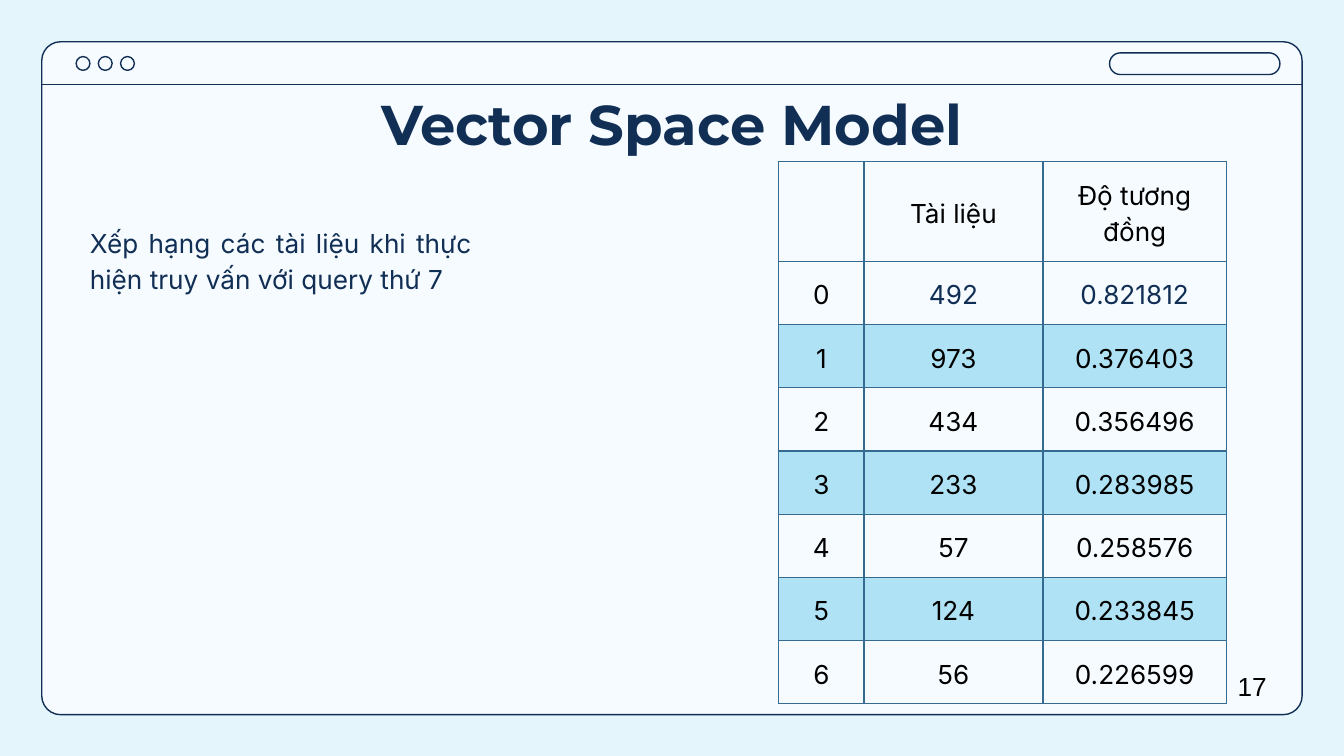
import pptx
import pptx.dml.color
import pptx.enum.shapes
import pptx.enum.text
import pptx.oxml
import pptx.oxml.ns
import pptx.util
from lxml import etree

Cm = pptx.util.Cm
Pt = pptx.util.Pt
ALIGN = pptx.enum.text.PP_ALIGN
ANCHOR = pptx.enum.text.MSO_ANCHOR
SHAPE = pptx.enum.shapes.MSO_SHAPE

NAVY, PAPER, SKY, BLACK, BORDER = "112E54", "F5FBFF", "AEE2F4", "000000", "356B90"

HEADER = ("", "Tài liệu", "Độ tương đồng")
RANKING = [
    (492, "0.821812"), (973, "0.376403"), (434, "0.356496"), (233, "0.283985"),
    (57, "0.258576"), (124, "0.233845"), (56, "0.226599"),
]


def rgb(value):
    return pptx.dml.color.RGBColor.from_string(value)


def child(parent, tag, **attributes):
    return etree.SubElement(parent, pptx.oxml.ns.qn(tag), attributes)


def style_paragraph(para, size, font, color, align, spacing=1.0, bold=False):
    para.alignment = align
    para.line_spacing = spacing
    para.space_before = Pt(0)
    para.font.size = Pt(size)
    para.font.name = font
    para.font.bold = bold
    para.font.color.rgb = rgb(color)


def add_outline(page, kind, box, fill=None, corner=None):
    shape = page.shapes.add_shape(kind, *map(Cm, box))
    shape.shadow.inherit = False
    shape.line.color.rgb = rgb(NAVY)
    shape.line.width = Pt(0.75)
    if fill:
        shape.fill.solid()
        shape.fill.fore_color.rgb = rgb(fill)
    else:
        shape.fill.background()
    if corner is not None:
        shape.adjustments[0] = corner


def add_window(page, box):
    """Browser-like frame: three buttons, an address bar and a rule below them."""
    left, top, width, height = box
    add_outline(page, SHAPE.ROUNDED_RECTANGLE, box, PAPER, 0.028)
    for index in range(3):
        add_outline(page, SHAPE.OVAL, (left + 0.65 + 0.42 * index, top + 0.28, 0.26, 0.26))
    add_outline(page, SHAPE.ROUNDED_RECTANGLE,
                (left + width - 3.64, top + 0.21, 3.22, 0.41), corner=0.5)
    rule = page.shapes.add_connector(
        pptx.enum.shapes.MSO_CONNECTOR.STRAIGHT,
        Cm(left), Cm(top + 0.81), Cm(left + width), Cm(top + 0.81))
    rule.line.color.rgb = rgb(NAVY)
    rule.line.width = Pt(0.75)
    child(rule._element.spPr, "a:effectLst")


def fill_placeholder(page, holder, box, text):
    """Move a placeholder to the box, in front of the window, and return its paragraph."""
    page.shapes._spTree.append(holder._element)
    holder.left, holder.top, holder.width, holder.height = map(Cm, box)
    frame = holder.text_frame
    frame.text = text
    frame.word_wrap = True
    frame.auto_size = pptx.enum.text.MSO_AUTO_SIZE.NONE
    frame.vertical_anchor = ANCHOR.TOP
    frame.margin_left = frame.margin_right = Cm(0.25)
    frame.margin_top = frame.margin_bottom = Cm(0.25)
    return frame.paragraphs[0]


def add_title(page, box):
    para = fill_placeholder(page, page.shapes.title, box, "Vector Space Model")
    style_paragraph(para, 30, "Montserrat", NAVY, ALIGN.CENTER, bold=True)


def add_description(page, box):
    para = fill_placeholder(page, page.placeholders[1], box,
                            "Xếp hạng các tài liệu khi thực hiện truy vấn với query thứ 7")
    style_paragraph(para, 14, "Inter", NAVY, ALIGN.JUSTIFY, 1.15)
    properties = para._p.get_or_add_pPr()
    properties.set("marL", "0")
    properties.set("indent", "0")
    child_bullet = pptx.oxml.parse_xml(
        f'<a:buNone {pptx.oxml.ns.nsdecls("a")}/>')
    properties.find(pptx.oxml.ns.qn("a:defRPr")).addprevious(child_bullet)


def set_borders(cell):
    properties = cell._tc.get_or_add_tcPr()
    for index, side in enumerate(("a:lnL", "a:lnR", "a:lnT", "a:lnB")):
        line = child(properties, side, w=str(Pt(0.75)))
        child(child(line, "a:solidFill"), "a:srgbClr", val=BORDER)
        properties.insert(index, line)


def style_cell(cell, text, color, fill):
    cell.text = text
    cell.vertical_anchor = ANCHOR.MIDDLE
    cell.margin_left = cell.margin_right = Cm(0.25)
    cell.margin_top = cell.margin_bottom = Cm(0.25)
    style_paragraph(cell.text_frame.paragraphs[0], 14, "Inter", color, ALIGN.CENTER, 1.15)
    if fill:
        cell.fill.solid()
        cell.fill.fore_color.rgb = rgb(fill)
    else:
        cell.fill.background()
    set_borders(cell)


def add_ranking_table(page, box):
    left, top, width, height = box
    rows = [HEADER] + [(str(rank), str(document), score)
                       for rank, (document, score) in enumerate(RANKING)]
    table = page.shapes.add_table(len(rows), len(HEADER), *map(Cm, box)).table
    table.first_row = table.horz_banding = False
    for column, share in zip(table.columns, (0.19, 0.4, 0.41)):
        column.width = Cm(width * share)
    header_height = 1.88
    for index, row in enumerate(rows):
        table.rows[index].height = Cm(
            (height - header_height) / len(RANKING) if index else header_height)
        fill = None if index < 2 else (SKY, PAPER)[index % 2]
        for position, text in enumerate(row):
            color = NAVY if index == 1 and position else BLACK
            style_cell(table.cell(index, position), text, color, fill)


def add_page_number(page, box):
    frame = page.shapes.add_textbox(*map(Cm, box)).text_frame
    frame.word_wrap = True
    frame.text = "17"
    style_paragraph(frame.paragraphs[0], 14, "Arial", BLACK, ALIGN.LEFT)


def main():
    deck = pptx.Presentation()
    deck.slide_width, deck.slide_height = Cm(25.4), Cm(14.29)
    page = deck.slides.add_slide(deck.slide_layouts[1])
    page.background.fill.solid()
    page.background.fill.fore_color.rgb = rgb("E4F5FB")
    add_window(page, (0.79, 0.79, 23.82, 12.72))
    add_title(page, (2, 1.45, 21.4, 1.6))
    add_ranking_table(page, (14.72, 3.06, 8.46, 10.25))
    add_description(page, (1.45, 3.96, 7.72, 3.35))
    add_page_number(page, (23.14, 12.55, 1.32, 0.86))
    deck.save("out.pptx")


if __name__ == "__main__":
    main()
